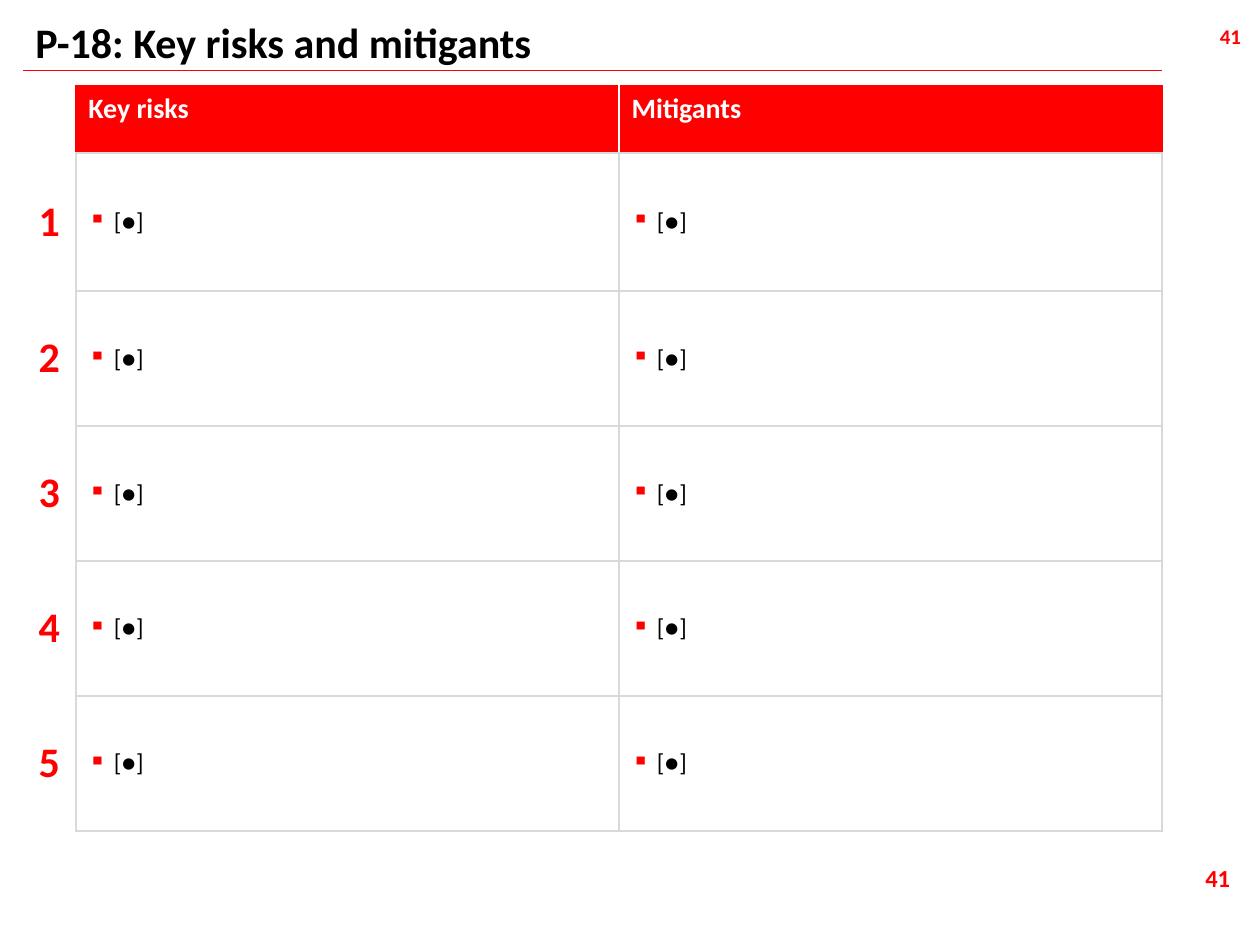
from dataclasses import dataclass

from lxml import etree
from pptx import Presentation
from pptx import util as u
from pptx.dml.color import RGBColor
from pptx.enum import shapes, text
from pptx.oxml.ns import qn


@dataclass(frozen=True)
class Theme:
    font: str = "Calibri"
    accent: str = "FF0000"
    ink: str = "000000"
    paper: str = "FFFFFF"
    grid: str = "D9D9D9"
    title: int = 24
    header: int = 16
    body: int = 14
    small: int = 12


THEME = Theme()
LEFT = 0.46
COLUMNS = (1.07, 10.95, 10.95)
ROWS = (1.35, 2.79, 2.72, 2.72, 2.72, 2.72)
HEADERS = ("Key risks", "Mitigants")
PLACEHOLDER = "[●]"


def write(tf, content, size, color, bold=True, align=text.PP_ALIGN.LEFT):
    tf.text = content
    p = tf.paragraphs[0]
    p.alignment = align
    font = p.runs[0].font
    font.name, font.size, font.bold = THEME.font, u.Pt(size), bold
    font.color.rgb = RGBColor.from_string(color)


def add_color(parent, color):
    fill = etree.SubElement(parent, qn("a:solidFill"))
    etree.SubElement(fill, qn("a:srgbClr"), val=color)


def set_borders(cell, **colors):
    """Draw the sides named L, R, T and B; leave the others without a line."""
    tcPr = cell._tc.get_or_add_tcPr()
    for side in "LRTB":
        line = etree.SubElement(tcPr, qn(f"a:ln{side}"), w=str(u.Pt(1)))
        if side in colors:
            add_color(line, colors[side])
        else:
            etree.SubElement(line, qn("a:noFill"))


def set_bullet(p):
    pPr = p._p.get_or_add_pPr()
    indent = u.Cm(0.51)
    pPr.set("marL", str(indent))
    pPr.set("indent", str(-indent))
    etree.SubElement(etree.SubElement(pPr, qn("a:buClr")), qn("a:srgbClr"), val=THEME.accent)
    etree.SubElement(pPr, qn("a:buChar"), char="▪")


def fill_header(cell, content, inner_side):
    write(cell.text_frame, content, THEME.header, THEME.paper)
    set_borders(cell, **{**dict.fromkeys("LRT", THEME.accent),
                         "B": THEME.grid, inner_side: THEME.paper})
    cell.fill.solid()
    cell.fill.fore_color.rgb = RGBColor.from_string(THEME.accent)


def fill_number(cell, number):
    write(cell.text_frame, str(number), THEME.title, THEME.accent,
          align=text.PP_ALIGN.CENTER)
    cell.vertical_anchor = text.MSO_ANCHOR.MIDDLE
    set_borders(cell, R=THEME.grid)
    cell.fill.background()


def fill_body(cell):
    write(cell.text_frame, PLACEHOLDER, THEME.body, THEME.ink, bold=False)
    set_bullet(cell.text_frame.paragraphs[0])
    cell.vertical_anchor = text.MSO_ANCHOR.MIDDLE
    set_borders(cell, **dict.fromkeys("LRTB", THEME.grid))
    cell.fill.background()


def add_risk_table(s):
    table = s.shapes.add_table(len(ROWS), len(COLUMNS), u.Cm(LEFT), u.Cm(1.73),
                               u.Cm(sum(COLUMNS)), u.Cm(sum(ROWS))).table
    table.first_row = table.horz_banding = False
    for column, width in zip(table.columns, COLUMNS):
        column.width = u.Cm(width)
    for row, height in zip(table.rows, ROWS):
        row.height = u.Cm(height)

    corner = table.cell(0, 0)
    set_borders(corner)
    corner.fill.background()
    for col, (header, inner_side) in enumerate(zip(HEADERS, "RL"), start=1):
        fill_header(table.cell(0, col), header, inner_side)
    for row in range(1, len(ROWS)):
        fill_number(table.cell(row, 0), row)
        for col in range(1, len(COLUMNS)):
            fill_body(table.cell(row, col))


def set_title(s, content):
    title = s.shapes.title
    title.left, title.top = u.Cm(LEFT), u.Cm(0.2)
    title.width, title.height = u.Cm(24.31), u.Cm(1.27)
    tf = title.text_frame
    tf.auto_size = text.MSO_AUTO_SIZE.NONE
    tf.vertical_anchor = text.MSO_ANCHOR.TOP
    write(tf, content, THEME.title, THEME.ink)


def add_title_rule(s):
    y = u.Cm(1.42)
    rule = s.shapes.add_connector(shapes.MSO_CONNECTOR.STRAIGHT, u.Cm(LEFT), y,
                                  u.Cm(LEFT + sum(COLUMNS)), y)
    rule.line.color.rgb = RGBColor.from_string(THEME.accent)
    rule.line.width = u.Pt(0.75)
    etree.SubElement(rule._element.spPr, qn("a:effectLst"))


def add_page_number(s, left, top, height, size, side_inset):
    sp = s.shapes.add_textbox(u.Cm(left), u.Cm(top), u.Cm(1.07), u.Cm(height))
    tf = sp.text_frame
    tf.word_wrap = False
    tf.margin_left = tf.margin_right = u.Cm(side_inset)
    write(tf, "41", size, THEME.accent, align=text.PP_ALIGN.RIGHT)


def main():
    prs = Presentation()
    prs.slide_width, prs.slide_height = u.Cm(25.4), u.Cm(19.05)
    s = prs.slides.add_slide(prs.slide_layouts[5])
    set_title(s, "P-18: Key risks and mitigants")
    add_title_rule(s)
    add_risk_table(s)
    add_page_number(s, 24.1, 0.36, 0.79, THEME.small, 0.15)
    add_page_number(s, 23.98, 17.27, 1.07, THEME.body, 0.25)
    prs.save("out.pptx")


if __name__ == "__main__":
    main()
